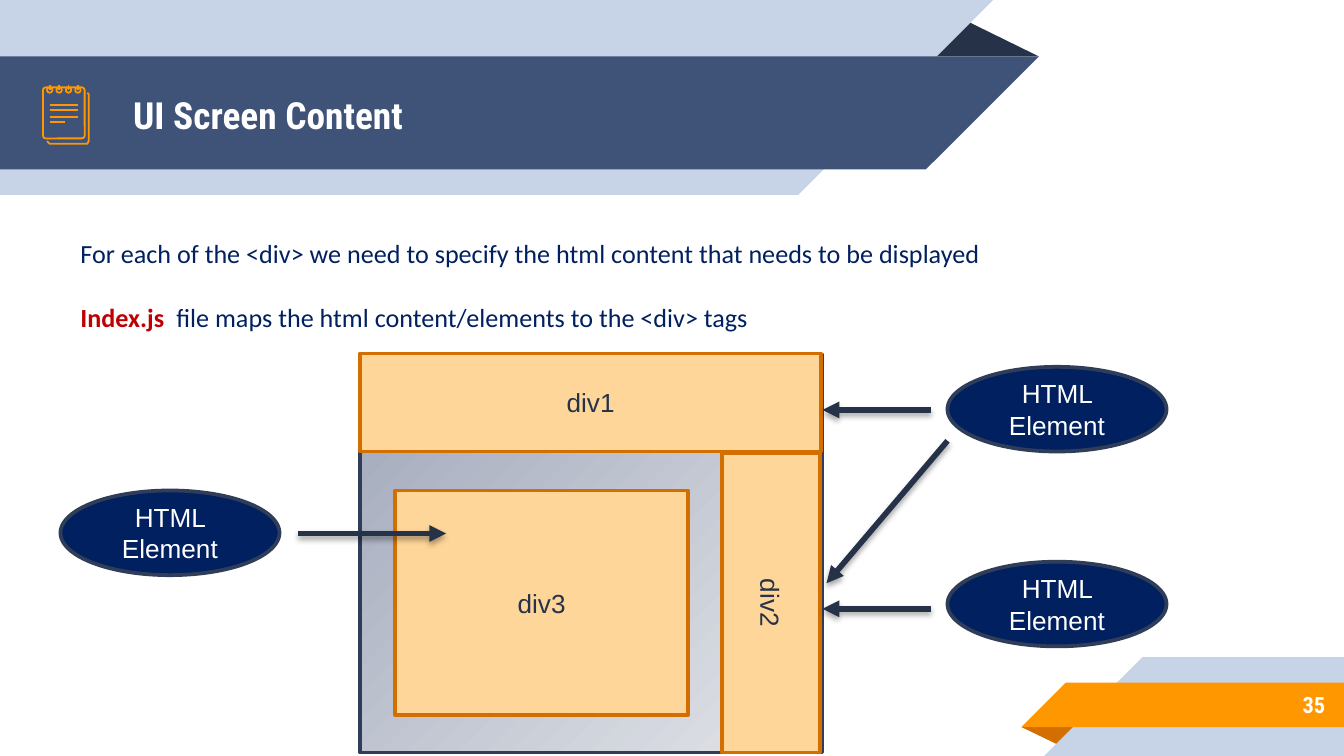
from lxml import etree
from pptx import Presentation
from pptx.dml.color import RGBColor
from pptx.enum import shapes, text
from pptx.oxml import parse_xml
from pptx.oxml.ns import qn
from pptx.util import Inches, Pt

WHITE = RGBColor(0xFF, 0xFF, 0xFF)
PALE = RGBColor(0xC7, 0xD3, 0xE6)
SLATE = RGBColor(0x3F, 0x53, 0x78)
INK = RGBColor(0x26, 0x32, 0x48)
EDGE = RGBColor(0x2F, 0x3D, 0x59)
NAVY = RGBColor(0x00, 0x20, 0x60)
RED = RGBColor(0xC0, 0x00, 0x00)
ORANGE = RGBColor(0xFF, 0x98, 0x00)
RUST = RGBColor(0xD2, 0x6F, 0x00)
PEACH = RGBColor(0xFF, 0xD6, 0x99)
SCREEN_DARK = RGBColor(0xA0, 0xA7, 0xBA)
SCREEN_LIGHT = RGBColor(0xE3, 0xE5, 0xE9)

HEADING = "Roboto Condensed"
BODY = "Calibri"
LABEL = "Arial"

WIDTH = 10
HEIGHT = WIDTH * 9 / 16

TITLE = "UI Screen Content"
PAGE = "35"
EXPLANATION = [
    [("For each of the <div> we need to specify the html content "
      "that needs to be displayed", NAVY, False)],
    [("Index.js  ", RED, True),
     ("file maps the html content/elements to the <div> tags", NAVY, False)],
]
BANDS = [  # colour, corners
    (INK, [(6.88, 0.42), (7.16, 0.14), (7.73, 0.42)]),
    (PALE, [(0, 0), (7.39, 0), (5.94, 1.45), (0, 1.45)]),
    (SLATE, [(0, 0.42), (7.73, 0.42), (6.89, 1.26), (0, 1.26)]),
    (RUST, [(7.6, 5.41), (8.03, 5.41), (7.89, 5.55)]),
    (PALE, [(8.5, 4.89), (WIDTH, 4.89), (WIDTH, HEIGHT), (7.77, HEIGHT)]),
    (ORANGE, [(7.93, 5.08), (WIDTH, 5.08), (WIDTH, 5.41), (7.6, 5.41)]),
]
SCREEN = (2.68, 2.64, 3.44, 2.96)
DIVS = [  # name, box, rotation
    ("div1", (2.68, 2.63, 3.43, 0.73), 0),
    ("div2", (4.62, 4.12, 2.23, 0.73), 90),
    ("div3", (2.94, 3.65, 2.18, 1.67), 0),
]
ELEMENT = "HTML Element"
ELEMENT_SIZE = (1.63, 0.63)
ELEMENT_CORNERS = [(7.05, 2.73), (0.45, 3.65), (7.05, 4.18)]
ARROWS = [
    ((6.93, 3.05), (6.12, 3.05)),
    ((7.05, 3.28), (6.15, 4.34)),
    ((6.93, 4.53), (6.12, 4.53)),
    ((2.22, 3.97), (3.32, 3.97)),
]
BACK_SHEET = [(0.35, 1.05), (0.37, 1.07), (0.65, 1.07),
              (0.66, 1.05), (0.66, 0.7), (0.65, 0.69)]
RING_CENTRES = [0.37 + 0.07 * i for i in range(4)]
NOTE_LINES = [(0.78, 0.58), (0.82, 0.58), (0.87, 0.58), (0.91, 0.48)]  # y, right end

SHADOW = """<a:effectLst xmlns:a="http://schemas.openxmlformats.org/drawingml/2006/main">
<a:outerShdw blurRad="39370" dist="22860" dir="5400000" rotWithShape="0">
<a:srgbClr val="000000"><a:alpha val="35000"/></a:srgbClr></a:outerShdw></a:effectLst>"""


def inches(values):
    return [Inches(v) for v in values]


def write(paragraph, words, font=LABEL, size=14, color=INK, bold=False, align=None):
    run = paragraph.add_run()
    run.text = words
    run.font.name, run.font.size, run.font.bold = font, Pt(size), bold
    run.font.color.rgb = color
    if align is not None:
        paragraph.alignment = align


def paint(shape, fill=None, line=None, width=2):
    shape.shadow.inherit = False
    if fill is None:
        shape.fill.background()
    else:
        shape.fill.solid()
        shape.fill.fore_color.rgb = fill
    if line is None:
        shape.line.fill.background()
    else:
        shape.line.color.rgb = line
        shape.line.width = Pt(width)


def add_preset(slide, kind, box, label=None, label_color=INK, **look):
    shape = slide.shapes.add_shape(kind, *inches(box))
    paint(shape, **look)
    if label:
        shape.text_frame.vertical_anchor = text.MSO_ANCHOR.MIDDLE
        write(shape.text_frame.paragraphs[0], label, color=label_color,
              align=text.PP_ALIGN.CENTER)
    return shape


def add_outline(slide, points, close=True, **look):
    start, *rest = [inches(p) for p in points]
    builder = slide.shapes.build_freeform(*start)
    builder.add_line_segments(rest, close=close)
    paint(builder.convert_to_shape(), **look)


def add_line(slide, start, end, color, width, arrow=False):
    line = slide.shapes.add_connector(shapes.MSO_CONNECTOR.STRAIGHT,
                                      *inches(start + end))
    line.line.color.rgb = color
    line.line.width = Pt(width)
    properties = line._element.spPr
    if arrow:
        etree.SubElement(properties.find(qn("a:ln")), qn("a:tailEnd"), type="triangle")
        properties.append(parse_xml(SHADOW))
    else:
        etree.SubElement(properties, qn("a:effectLst"))


def add_notepad(slide):
    pen = {"line": ORANGE, "width": 0.96}
    add_outline(slide, BACK_SHEET, close=False, **pen)
    pad = add_preset(slide, shapes.MSO_SHAPE.ROUNDED_RECTANGLE,
                     (0.32, 0.65, 0.31, 0.38), **pen)
    pad.adjustments[0] = 0.07
    for x in RING_CENTRES:
        add_preset(slide, shapes.MSO_SHAPE.OVAL, (x - 0.02, 0.65, 0.04, 0.04), **pen)
        add_line(slide, (x, 0.63), (x, 0.67), ORANGE, 0.96)
    for y, right in NOTE_LINES:
        add_line(slide, (0.37, y), (right, y), ORANGE, 0.96)


def add_headings(slide):
    title = slide.shapes.title
    title.left, title.top, title.width, title.height = inches((0.89, 0.43, 5.75, 0.84))
    page = slide.shapes.add_textbox(*inches((8.33, 5.07, 1.63, 0.35)))
    for box, words, size, align in [(title, TITLE, 20, text.PP_ALIGN.LEFT),
                                    (page, PAGE, 12, text.PP_ALIGN.RIGHT)]:
        frame = box.text_frame
        frame.word_wrap = True
        frame.auto_size = text.MSO_AUTO_SIZE.NONE
        frame.vertical_anchor = text.MSO_ANCHOR.MIDDLE
        frame.margin_left = frame.margin_right = Inches(0.1)
        frame.margin_top = frame.margin_bottom = Inches(0.1)
        write(frame.paragraphs[0], words, font=HEADING, size=size,
              color=WHITE, bold=True, align=align)


def add_explanation(slide):
    frame = slide.shapes.add_textbox(*inches((0.5, 1.72, 9.64, 1.51))).text_frame
    frame.word_wrap = True
    for i, runs in enumerate(EXPLANATION):
        paragraph = frame.add_paragraph() if i else frame.paragraphs[0]
        paragraph.space_after = Pt(0 if i else 17)
        for words, color, bold in runs:
            write(paragraph, words, font=BODY, color=color, bold=bold)


def add_diagram(slide):
    screen = add_preset(slide, shapes.MSO_SHAPE.RECTANGLE, SCREEN, line=EDGE)
    screen.fill.gradient()
    screen.fill.gradient_angle = 315
    for stop, color, position in zip(screen.fill.gradient_stops,
                                     (SCREEN_DARK, SCREEN_LIGHT), (0, 1)):
        stop.color.rgb = color
        stop.position = position
    for name, box, rotation in DIVS:
        div = add_preset(slide, shapes.MSO_SHAPE.RECTANGLE, box, name,
                         fill=PEACH, line=RUST)
        div.rotation = rotation
    for corner in ELEMENT_CORNERS:
        add_preset(slide, shapes.MSO_SHAPE.OVAL, corner + ELEMENT_SIZE, ELEMENT, WHITE,
                   fill=NAVY, line=EDGE)
    for start, end in ARROWS:
        add_line(slide, start, end, INK, 3, arrow=True)


def main():
    deck = Presentation()
    deck.slide_width, deck.slide_height = Inches(WIDTH), Inches(HEIGHT)
    slide = deck.slides.add_slide(deck.slide_layouts[5])
    for color, corners in BANDS:
        add_outline(slide, corners, fill=color)
    # The title placeholder comes first; bring it in front of the bands.
    slide.shapes._spTree.append(slide.shapes.title._element)
    add_headings(slide)
    add_notepad(slide)
    add_explanation(slide)
    add_diagram(slide)
    deck.save("out.pptx")


if __name__ == "__main__":
    main()
